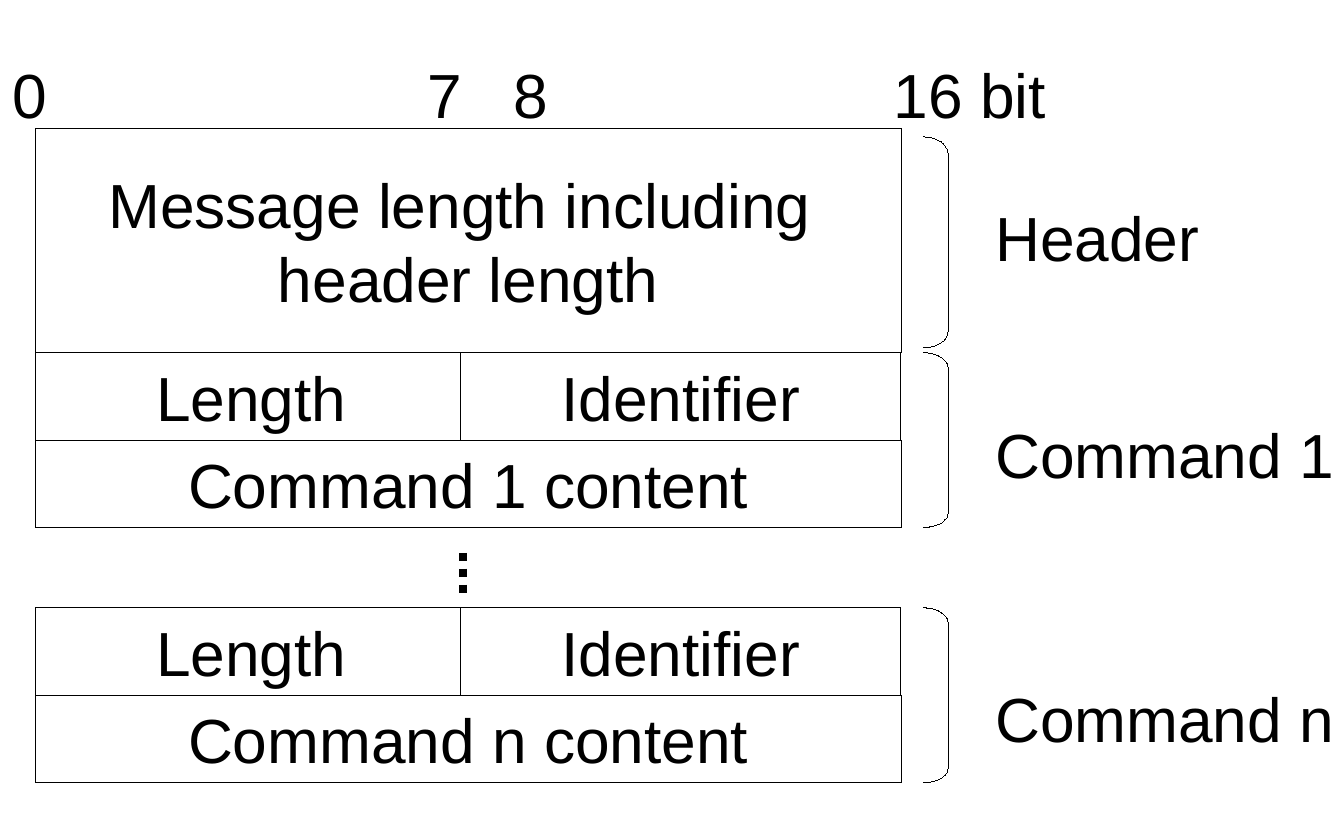
from lxml.etree import SubElement
from pptx import Presentation
from pptx.dml.color import RGBColor
from pptx.enum.dml import MSO_LINE
from pptx.enum.shapes import MSO_CONNECTOR, MSO_SHAPE
from pptx.enum.text import MSO_ANCHOR, MSO_AUTO_SIZE, PP_ALIGN
from pptx.oxml.ns import qn
from pptx.util import Pt

BLACK = RGBColor(0x00, 0x00, 0x00)
WHITE = RGBColor(0xFF, 0xFF, 0xFF)

# Message grid, in points
LEFT, WIDTH = 10.25, 250.4
SPLIT = 133.2
LENGTH_W = 124.9
HEADER_TOP, HEADER_H = 37.2, 64.8
ROW_H = 25.25
BRACKET_X, BRACKET_W = 267.12, 7.2
LABEL_X, LABEL_W, LINE_H = 280.8, 122.4, 29


class Diagram:
    font, size = "Arial", 18
    hairline = 0.01

    def __init__(self, slide):
        self.s = slide

    def style(self, p, align=PP_ALIGN.LEFT):
        p.alignment = align
        p.font.name = self.font
        p.font.size = Pt(self.size)
        p.font.color.rgb = BLACK

    def outline(self, shape):
        shape.shadow.inherit = False
        shape.line.color.rgb = BLACK
        shape.line.width = Pt(self.hairline)

    def cell(self, x, y, w, h, *lines):
        sp = self.s.shapes.add_shape(MSO_SHAPE.RECTANGLE, Pt(x), Pt(y), Pt(w), Pt(h))
        self.outline(sp)
        sp.fill.solid()
        sp.fill.fore_color.rgb = WHITE
        tf = sp.text_frame
        tf.word_wrap = False
        tf.vertical_anchor = MSO_ANCHOR.MIDDLE
        tf.text = "\n".join(lines)
        for p in tf.paragraphs:
            self.style(p, PP_ALIGN.CENTER)

    def label(self, x, y, w, text, tabs=()):
        tf = self.s.shapes.add_textbox(Pt(x), Pt(y), Pt(w), Pt(LINE_H)).text_frame
        tf.word_wrap = True
        tf.auto_size = MSO_AUTO_SIZE.SHAPE_TO_FIT_TEXT
        p = tf.paragraphs[0]
        p.text = text
        if tabs:
            tab_list = SubElement(p._p.get_or_add_pPr(), qn("a:tabLst"))
            for pos in tabs:
                SubElement(tab_list, qn("a:tab"), pos=str(Pt(pos)), algn="l")
        self.style(p)

    def bracket(self, y, h, curve):
        sp = self.s.shapes.add_shape(
            MSO_SHAPE.RIGHT_BRACKET, Pt(BRACKET_X), Pt(y), Pt(BRACKET_W), Pt(h))
        sp.adjustments[0] = curve / BRACKET_W
        self.outline(sp)
        sp.fill.background()

    def dots(self, x, top, bottom):
        c = self.s.shapes.add_connector(
            MSO_CONNECTOR.STRAIGHT, Pt(x), Pt(top), Pt(x), Pt(bottom))
        c.line.color.rgb = BLACK
        c.line.width = Pt(2.3)
        c.line.dash_style = MSO_LINE.ROUND_DOT
        SubElement(c._element.spPr, qn("a:effectLst"))

    def command(self, y, name, label_y):
        self.cell(LEFT, y + ROW_H, WIDTH, ROW_H, f"{name} content")
        self.cell(LEFT, y, LENGTH_W, ROW_H, "Length")
        self.cell(SPLIT, y, LEFT + WIDTH - SPLIT, ROW_H, "Identifier")
        self.bracket(y, 2 * ROW_H, 4.3)
        self.label(LABEL_X, label_y, LABEL_W, name)


def main():
    prs = Presentation()
    prs.slide_width = Pt(388.75)
    prs.slide_height = Pt(237.62)
    d = Diagram(prs.slides.add_slide(prs.slide_layouts[6]))

    # Header
    d.cell(LEFT, HEADER_TOP, WIDTH, HEADER_H,
           "Message length including ", "header length")
    d.bracket(39.6, 61, 5)
    d.label(LABEL_X, 54, LABEL_W, "Header")

    # Bit positions
    d.label(-3.6, 12.75, 353.5, "0\t7\t8\t16 bit", tabs=(120.2, 145, 255))

    # Commands
    d.command(HEADER_TOP + HEADER_H, "Command 1", 116.64)
    d.dots(133.92, 159.84, 171.36)
    d.command(175.75, "Command n", 193.2)

    prs.save("out.pptx")


if __name__ == "__main__":
    main()
